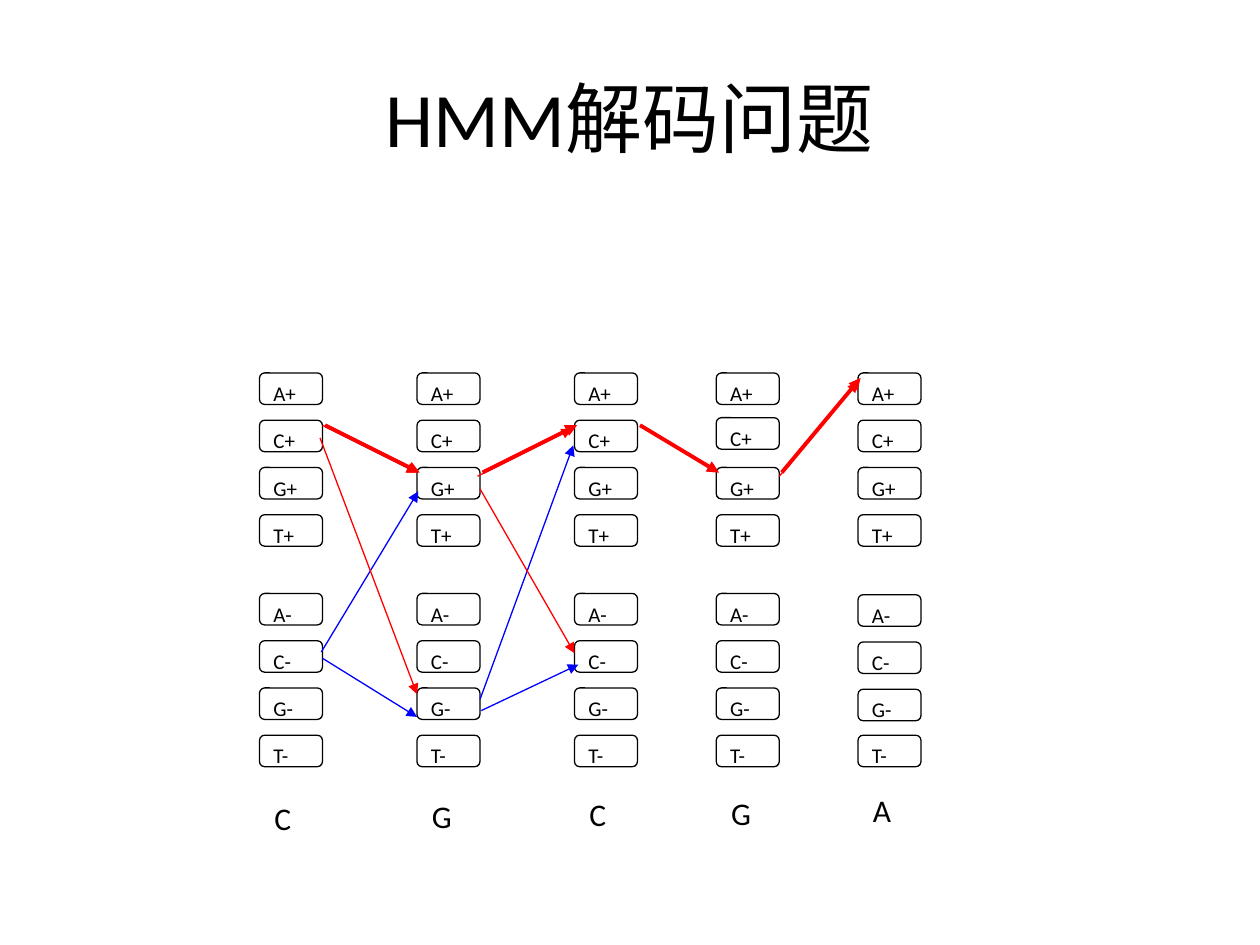
from lxml.etree import SubElement
from pptx import Presentation
from pptx.dml.color import RGBColor
from pptx.enum.shapes import MSO_CONNECTOR, MSO_SHAPE
from pptx.enum.text import MSO_ANCHOR, PP_ALIGN
from pptx.oxml.ns import qn
from pptx.util import Inches, Pt

TITLE = "HMM解码问题"
FONT = "Calibri"
BLACK, WHITE, RED, BLUE = "000000", "FFFFFF", "FF0000", "0000FF"

# Hidden states, top to bottom, and the observed sequence, left to right
STATES = ["A+", "C+", "G+", "T+", "A-", "C-", "G-", "T-"]
OBSERVED = [  # letter, top of its label, width of its label
    ("C", 6.29, 0.42),
    ("G", 6.28, 0.43),
    ("C", 6.26, 0.43),
    ("G", 6.25, 0.43),
    ("A", 6.23, 0.47),
]

# Grid in inches: three wide columns, then two narrower ones
LEFT, TOP = 2.06, 2.96
WIDE_STEP, NARROW_STEP, ROW_STEP = 1.25, 1.125, 0.375
SIGN_GAP = 0.25
BOX_W, BOX_H = 0.5, 0.25
NUDGES = {(3, "C+"): -0.02, (4, "A-"): 0.01, (4, "C-"): 0.01, (4, "G-"): 0.01}

# Transitions: column, from state, to state, colour,
# (x, y) offset from the right top corner of the first box,
# (x, y) offset from the left top corner of the next box
TRANSITIONS = [
    (2, "C+", "G+", RED, (0.02, 0.04), (0.02, 0.04)),
    (3, "G+", "A+", RED, (0, 0.07), (0, 0.07)),
    (0, "C-", "G-", BLUE, (0, 0.14), (0, 0.23)),
    (0, "C-", "G+", BLUE, (-0.01, 0.09), (0.01, 0.19)),
    (0, "C+", "G+", RED, (0, 0.04), (0, 0.04)),
    (0, "C+", "G-", RED, (-0.02, 0.14), (0, 0.05)),
    (1, "G-", "C-", BLUE, (0.01, 0.18), (0.03, 0.19)),
    (1, "G-", "C+", BLUE, (0, 0.09), (-0.01, 0.2)),
    (1, "G+", "C+", RED, (-0.02, 0.07), (-0.02, 0.07)),
    (1, "G+", "C-", RED, (0, 0.17), (0, 0.1)),
]
BEST_PATH = ["C+", "G+", "C+", "G+", "A+"]
PATH_OFFSET = (0.02, 0.04)


def color(hex_string):
    return RGBColor.from_string(hex_string)


def column_left(column):
    return LEFT + min(column, 2) * WIDE_STEP + max(column - 2, 0) * NARROW_STEP


def row_top(state):
    gap = SIGN_GAP if state.endswith("-") else 0
    return TOP + STATES.index(state) * ROW_STEP + gap


def write(frame, text, size, align=PP_ALIGN.LEFT, anchor=MSO_ANCHOR.TOP):
    frame.word_wrap = True
    frame.vertical_anchor = anchor
    paragraph = frame.paragraphs[0]
    paragraph.alignment = align
    run = paragraph.add_run()
    run.text = text
    run.font.name = FONT
    run.font.size = Pt(size)
    run.font.color.rgb = color(BLACK)


def add_state(slide, column, state):
    top = row_top(state) + NUDGES.get((column, state), 0)
    box = slide.shapes.add_shape(
        MSO_SHAPE.ROUNDED_RECTANGLE, Inches(column_left(column)), Inches(top),
        Inches(BOX_W), Inches(BOX_H))
    box.shadow.inherit = False
    box.fill.solid()
    box.fill.fore_color.rgb = color(WHITE)
    box.line.color.rgb = color(BLACK)
    box.line.width = Pt(0.75)
    write(box.text_frame, state, 12)


def add_arrow(slide, column, source, target, hue, start, end, width=0.75):
    arrow = slide.shapes.add_connector(
        MSO_CONNECTOR.STRAIGHT,
        Inches(column_left(column) + BOX_W + start[0]),
        Inches(row_top(source) + start[1]),
        Inches(column_left(column + 1) + end[0]),
        Inches(row_top(target) + end[1]))
    arrow.line.color.rgb = color(hue)
    arrow.line.width = Pt(width)
    properties = arrow._element.spPr
    SubElement(properties.find(qn("a:ln")), qn("a:tailEnd"), type="triangle")
    SubElement(properties, qn("a:effectLst"))


def main():
    deck = Presentation()
    deck.slide_width, deck.slide_height = Inches(10), Inches(7.5)
    slide = deck.slides.add_slide(deck.slide_layouts[5])

    # Title
    title = slide.shapes.title
    title.left, title.top = Inches(0.5), Inches(0.3)
    title.width, title.height = Inches(9), Inches(1.25)
    write(title.text_frame, TITLE, 44, PP_ALIGN.CENTER, MSO_ANCHOR.MIDDLE)

    # State columns with the observed letter below each
    for column, (letter, top, width) in enumerate(OBSERVED):
        for state in STATES:
            add_state(slide, column, state)
        label = slide.shapes.add_textbox(
            Inches(column_left(column) + 0.02), Inches(top),
            Inches(width), Inches(0.5))
        write(label.text_frame, letter, 18)

    # Possible transitions, then the best path in bold
    for transition in TRANSITIONS:
        add_arrow(slide, *transition)
    for column, (source, target) in enumerate(zip(BEST_PATH, BEST_PATH[1:])):
        add_arrow(slide, column, source, target, RED,
                  PATH_OFFSET, PATH_OFFSET, width=2.25)

    deck.save("out.pptx")


if __name__ == "__main__":
    main()
